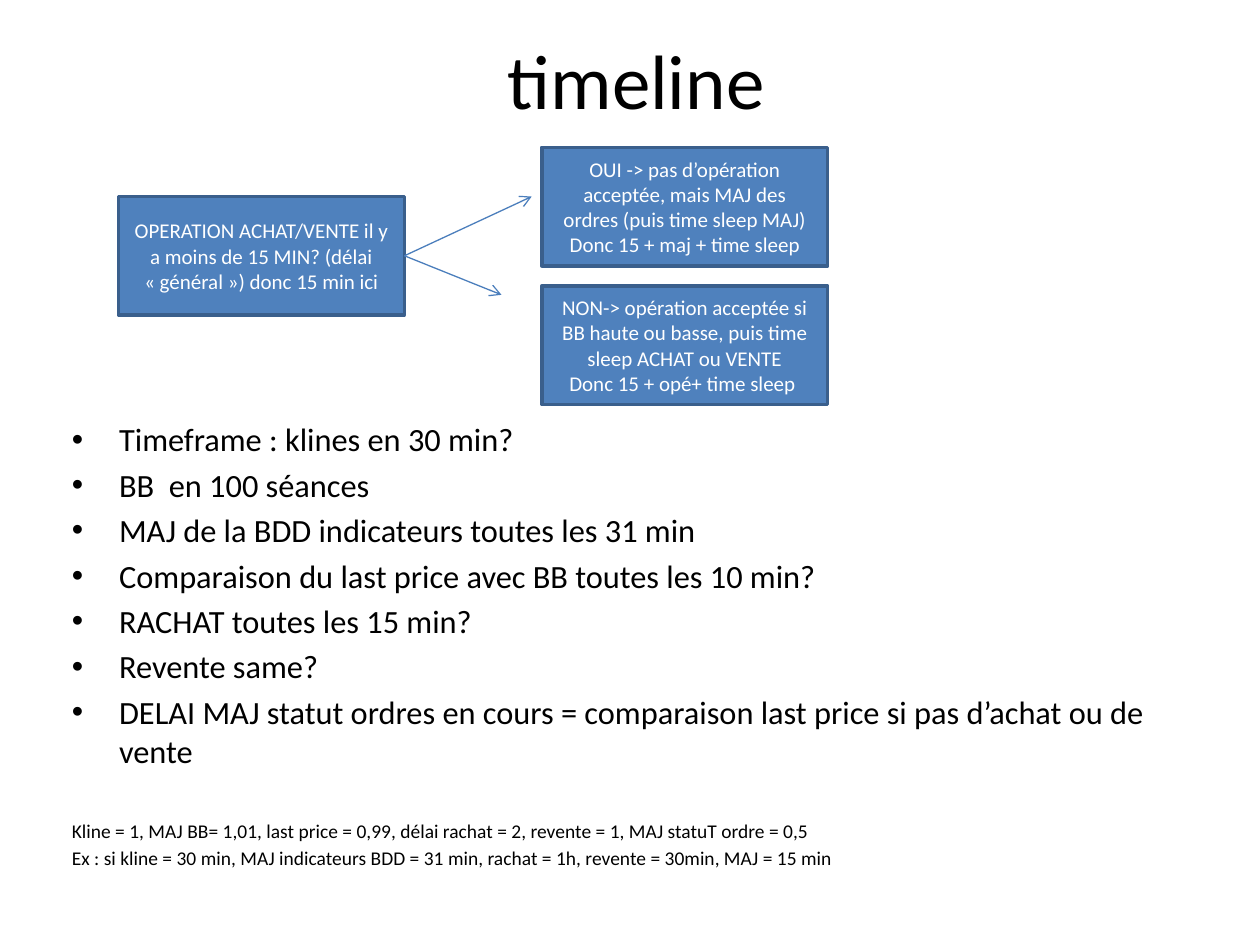
from lxml import etree
from pptx import Presentation
from pptx.dml.color import RGBColor
from pptx.enum.shapes import MSO_CONNECTOR, MSO_SHAPE
from pptx.enum.text import MSO_ANCHOR, MSO_AUTO_SIZE, PP_ALIGN
from pptx.oxml.ns import qn
from pptx.util import Inches, Pt

RECT = MSO_SHAPE.RECTANGLE
LINE = MSO_CONNECTOR.STRAIGHT
CENTER = PP_ALIGN.CENTER
MIDDLE = MSO_ANCHOR.MIDDLE
FIXED = MSO_AUTO_SIZE.NONE

BLACK = RGBColor(0x00, 0x00, 0x00)
WHITE = RGBColor(0xFF, 0xFF, 0xFF)
BLUE = RGBColor(0x4F, 0x81, 0xBD)
EDGE = RGBColor(0x3A, 0x5F, 0x8C)
ARROW = RGBColor(0x4B, 0x7E, 0xBC)

COLS, ROWS = 100, 75
BOX_W, BOX_H = 22.7, 9.4


class Deck:
    font = "Calibri"

    def __init__(self):
        self.prs = Presentation()
        self.prs.slide_width = Inches(10)
        self.prs.slide_height = Inches(7.5)
        self.slide = self.prs.slides.add_slide(self.prs.slide_layouts[1])

    def grid(self, *cells):
        units = (self.prs.slide_width / COLS, self.prs.slide_height / ROWS)
        return [round(cell * units[i % 2]) for i, cell in enumerate(cells)]

    def place(self, shape, *cells):
        shape.left, shape.top, shape.width, shape.height = self.grid(*cells)
        shape.text_frame.auto_size = FIXED

    def run(self, para, text, size, color):
        run = para.add_run()
        run.text = text
        run.font.name = self.font
        run.font.size = Pt(size)
        run.font.color.rgb = color

    def para(self, frame, first):
        return frame.paragraphs[0] if first else frame.add_paragraph()

    def title(self, text, *cells):
        shape = self.slide.shapes.title
        self.place(shape, *cells)
        shape.text_frame.vertical_anchor = MIDDLE
        para = shape.text_frame.paragraphs[0]
        para.alignment = CENTER
        self.run(para, text, 44, BLACK)

    def body(self, items, notes, *cells):
        shape = self.slide.placeholders[1]
        self.place(shape, *cells)
        frame = shape.text_frame
        for i, text in enumerate(items):
            self.run(self.para(frame, i == 0), text, 18.5, BLACK)
        for i, text in enumerate(notes):
            para = frame.add_paragraph()
            if i == 0:
                para.space_before = Pt(28)
            etree.SubElement(para._p.get_or_add_pPr(), qn("a:buNone"))
            self.run(para, text, 11.1, BLACK)

    def box(self, lines, col, row):
        shape = self.slide.shapes.add_shape(
            RECT, *self.grid(col, row, BOX_W, BOX_H))
        shape.shadow.inherit = False
        shape.fill.solid()
        shape.fill.fore_color.rgb = BLUE
        shape.line.color.rgb = EDGE
        shape.line.width = Pt(2)
        frame = shape.text_frame
        frame.word_wrap = True
        frame.vertical_anchor = MIDDLE
        for i, text in enumerate(lines):
            para = self.para(frame, i == 0)
            para.alignment = CENTER
            self.run(para, text, 12, WHITE)

    def arrow(self, *ends):
        link = self.slide.shapes.add_connector(LINE, *self.grid(*ends))
        link.line.color.rgb = ARROW
        link.line.width = Pt(0.75)
        etree.SubElement(link.line._get_or_add_ln(), qn("a:tailEnd"), type="arrow")
        etree.SubElement(link._element.spPr, qn("a:effectLst"))


deck = Deck()
deck.title("timeline", 5.5, 0, 90, 12.5)
deck.body(
    ["Timeframe : klines en 30 min?",
     "BB  en 100 séances",
     "MAJ de la BDD indicateurs toutes les 31 min",
     "Comparaison du last price avec BB toutes les 10 min?",
     "RACHAT toutes les 15 min?",
     "Revente same?",
     "DELAI MAJ statut ordres en cours = comparaison last price "
     "si pas d’achat ou de vente"],
    ["Kline = 1, MAJ BB= 1,01, last price = 0,99, délai rachat = 2, "
     "revente = 1, MAJ statuT ordre = 0,5",
     "Ex : si kline = 30 min, MAJ indicateurs BDD = 31 min, "
     "rachat = 1h, revente = 30min, MAJ = 15 min"],
    4.7, 32.8, 90, 36.2)

left, top = 9.4, 15.6
deck.box(["OPERATION ACHAT/VENTE il y a moins de 15 MIN? "
          "(délai «\u00a0général\u00a0») donc 15 min ici"], left, top)
for col, row in ((42.2, 15.6), (39.8, 23.4)):
    deck.arrow(left + BOX_W, top + BOX_H / 2, col, row)

answers = (
    ["OUI -> pas d’opération acceptée, mais MAJ des ordres (puis time sleep MAJ)",
     "Donc 15 + maj + time sleep"],
    ["NON-> opération acceptée si BB haute ou basse, puis time sleep ACHAT ou VENTE",
     "Donc 15 + opé+ time sleep "])
for i, lines in enumerate(answers):
    deck.box(lines, 43, 11.7 + 11 * i)

deck.prs.save("out.pptx")
